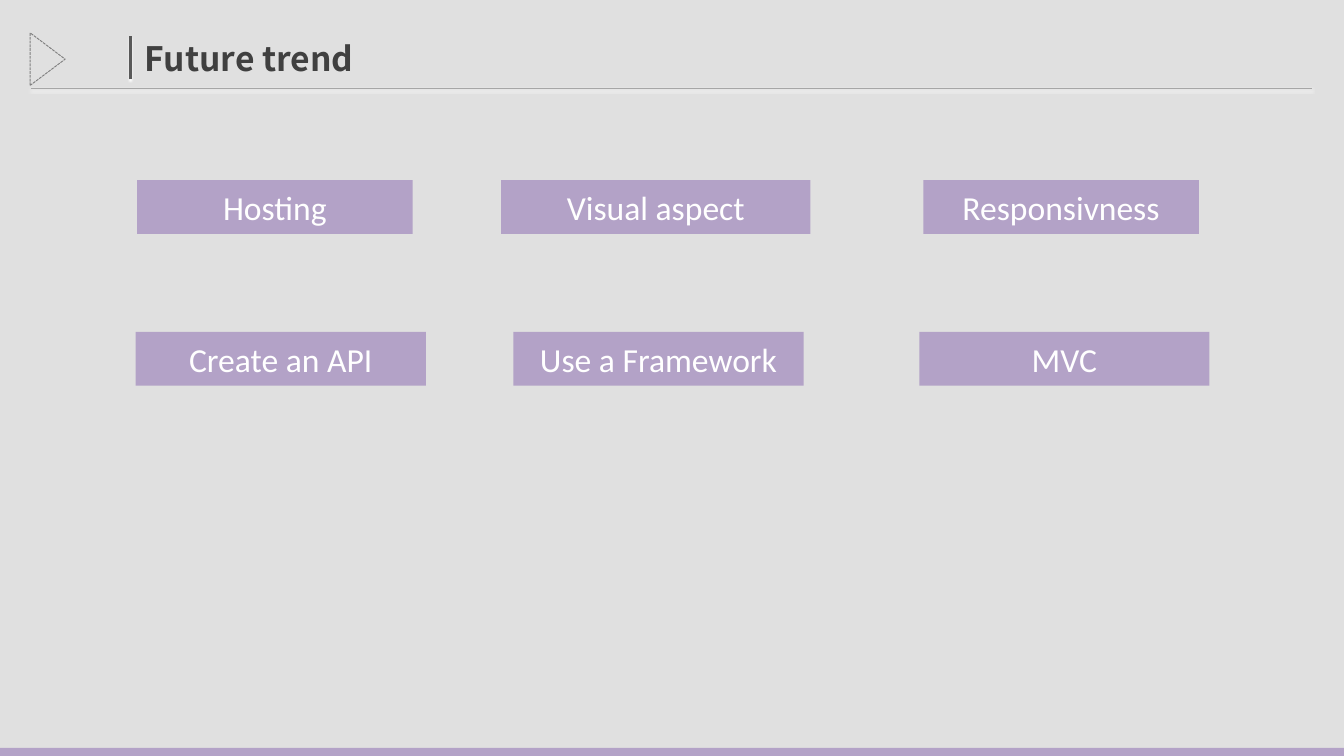
from lxml.etree import SubElement
from pptx import Presentation
from pptx.dml.color import RGBColor
from pptx.enum.dml import MSO_LINE
from pptx.enum.shapes import MSO_CONNECTOR, MSO_SHAPE
from pptx.enum.text import MSO_ANCHOR, PP_ALIGN
from pptx.oxml.ns import qn
from pptx.util import Inches, Pt

WHITE = RGBColor(0xFF, 0xFF, 0xFF)
BLACK = RGBColor(0x00, 0x00, 0x00)
PURPLE = RGBColor(0xB3, 0xA2, 0xC7)
INK = RGBColor(0x40, 0x40, 0x40)
DARK = RGBColor(0x59, 0x59, 0x59)
GREY = RGBColor(0x80, 0x80, 0x80)
PALE = RGBColor(0xA6, 0xA6, 0xA6)

WIDE = 10
HIGH = WIDE * 9 / 16
TRENDS = [
    [("Hosting", 1.02, 2.05), ("Visual aspect", 3.73, 2.3), ("Responsivness", 6.87, 2.05)],
    [("Create an API", 1.01, 2.16), ("Use a Framework", 3.82, 2.16), ("MVC", 6.84, 2.16)],
]


def add_box(slide, box, fill=None, kind=MSO_SHAPE.RECTANGLE):
    """Add a flat shape without an outline."""
    shape = slide.shapes.add_shape(kind, *map(Inches, box))
    shape.shadow.inherit = False
    shape.line.fill.background()
    if fill is None:
        shape.fill.background()
    else:
        shape.fill.solid()
        shape.fill.fore_color.rgb = fill
    return shape


def add_rule(slide, start, end, color, weight):
    """Add a line with a white shadow just below it."""
    rule = slide.shapes.add_connector(MSO_CONNECTOR.STRAIGHT, *map(Inches, start + end))
    rule.line.color.rgb = color
    rule.line.width = Pt(weight)
    effects = SubElement(rule._element.spPr, qn("a:effectLst"))
    point = str(Pt(1))
    shadow = SubElement(effects, qn("a:outerShdw"), blurRad=point, dist=point, dir="5400000")
    SubElement(shadow, qn("a:srgbClr"), val=str(WHITE))


def write(shape, text, font, color, bold=False, align=PP_ALIGN.LEFT):
    """Put one line of text into a shape."""
    frame = shape.text_frame
    frame.word_wrap = True
    frame.text = text
    line = frame.paragraphs[0]
    line.alignment = align
    line.font.name = font
    line.font.size = Pt(18)
    line.font.bold = bold
    line.font.color.rgb = color


def add_back(slide, left, top, width, height):
    """Shade the slide and lay the strip along its foot."""
    foot = top + height - 0.06
    shade = add_box(slide, (left, top, width, foot - top), BLACK)
    color = shade._element.spPr.find(qn("a:solidFill"))[0]
    SubElement(color, qn("a:alpha"), val="12000")
    add_box(slide, (left, foot, width, 0.16), PURPLE)


def add_head(slide, text, left, top, width, height):
    """Draw the marker, the title with its bar, and the rule below."""
    base = top + height
    mark = add_box(slide, (left - 0.07, top + 0.08, 0.39, 0.26),
                   kind=MSO_SHAPE.FLOWCHART_MERGE)
    mark.rotation = 270
    mark.line.color.rgb = GREY
    mark.line.width = Pt(0.5)
    mark.line.dash_style = MSO_LINE.SQUARE_DOT
    bar = left + 0.74
    add_rule(slide, (bar, base - 0.07), (bar, top + 0.04), DARK, 1.5)
    title = slide.shapes.add_textbox(*map(Inches, (left + 0.75, top, 3.31, 0.4)))
    write(title, text, "Noto Sans CJK SC", INK, bold=True)
    add_rule(slide, (left, base), (left + width, base), PALE, 0.75)


def add_trends(slide, rows, left, top, pitch, height):
    """Lay out rows of labelled boxes at an even pitch."""
    for index, row in enumerate(rows):
        for text, shift, width in row:
            label = add_box(slide, (left + shift, top + index * pitch, width, height), PURPLE)
            label.text_frame.vertical_anchor = MSO_ANCHOR.MIDDLE
            write(label, text, "Calibri", WHITE, align=PP_ALIGN.CENTER)


def main():
    """Build and save the slide."""
    deck = Presentation()
    deck.slide_width, deck.slide_height = Inches(WIDE), Inches(HIGH)
    slide = deck.slides.add_slide(deck.slide_layouts[6])
    add_back(slide, 0, 0, WIDE, HIGH)
    add_head(slide, "Future trend", 0.23, 0.23, 9.53, 0.43)
    add_trends(slide, TRENDS, 0, 1.34, 1.13, 0.4)
    deck.save("out.pptx")


if __name__ == "__main__":
    main()
